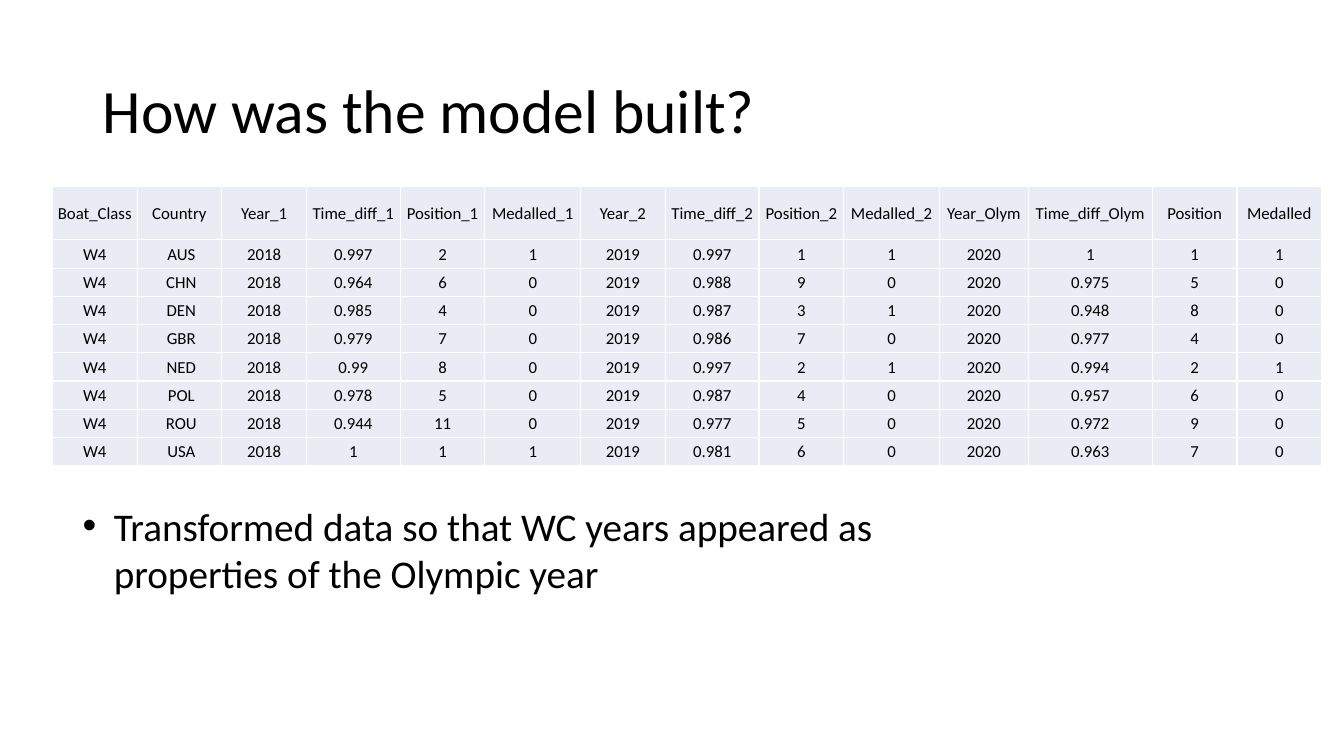
from lxml.etree import SubElement
from pptx import Presentation
from pptx.dml.color import RGBColor
from pptx.enum.text import MSO_ANCHOR as Anchor, MSO_AUTO_SIZE as AutoSize, PP_ALIGN as Align
from pptx.oxml.ns import qn
from pptx.util import Inches, Pt

BLACK = RGBColor(0x00, 0x00, 0x00)
WHITE = RGBColor(0xFF, 0xFF, 0xFF)
PALE_BLUE = RGBColor(0xE9, 0xEB, 0xF5)

SEASON = ("Year", "Time_diff", "Position", "Medalled")
HEADERS = ["Boat_Class", "Country",
           *(f"{name}_{number}" for number in (1, 2) for name in SEASON),
           "Year_Olym", "Time_diff_Olym", "Position", "Medalled"]
SEASON_WIDTHS = [0.84, 0.93, 0.84, 0.95]
WIDTHS = [0.84, 0.84, *SEASON_WIDTHS * 2, 0.88, 1.23, 0.84, 0.84]
HEIGHTS = [0.53] + [0.28] * 8
YEARS = ("2018", "2019", "2020")
RESULTS = {
    " AUS": ("0.997 2 1", "0.997 1 1", "1 1 1"),
    " CHN": ("0.964 6 0", "0.988 9 0", "0.975 5 0"),
    " DEN": ("0.985 4 0", "0.987 3 1", "0.948 8 0"),
    " GBR": ("0.979 7 0", "0.986 7 0", "0.977 4 0"),
    " NED": ("0.99 8 0", "0.997 2 1", "0.994 2 1"),
    " POL": ("0.978 5 0", "0.987 4 0", "0.957 6 0"),
    " ROU": ("0.944 11 0", "0.977 5 0", "0.972 9 0"),
    " USA": ("1 1 1", "0.981 6 0", "0.963 7 0"),
}


def write(frame, text, size, font="Calibri", color=BLACK, align=Align.LEFT, spacing=1.0):
    """Put one formatted paragraph in a text frame and return it."""
    para = frame.paragraphs[0]
    para.alignment = align
    para.line_spacing = spacing
    span = para.add_run()
    span.text = text
    span.font.name = font
    span.font.size = Pt(size)
    span.font.color.rgb = color
    return para


class SlideBuilder:
    """Hold the table style and the current slide."""

    def __init__(self, page, fill, border, cell_size):
        self.page = page
        self.fill = fill
        self.border = border
        self.cell_size = cell_size

    def text_box(self, place, text, size, anchor=Anchor.TOP, **style):
        """Add a wrapped text box and return its paragraph."""
        box = self.page.shapes.add_textbox(*map(Inches, place))
        frame = box.text_frame
        frame.word_wrap = True
        frame.auto_size = AutoSize.NONE
        frame.vertical_anchor = anchor
        return write(frame, text, size, **style)

    def bullet(self, place, text, size, indent):
        """Add a text box with one bulleted paragraph."""
        properties = self.text_box(place, text, size)._p.get_or_add_pPr()
        properties.set("marL", str(Inches(indent)))
        properties.set("indent", str(-Inches(indent)))
        SubElement(properties, qn("a:buFont"), typeface="Arial")
        SubElement(properties, qn("a:buChar"), char="•")

    def table(self, left, top, widths, heights, rows):
        """Add a plain table with one fill and thin borders."""
        size = (left, top, sum(widths), sum(heights))
        table = self.page.shapes.add_table(len(rows), len(widths), *map(Inches, size)).table
        table.first_row = False
        table.horz_banding = False
        for column, width in zip(table.columns, widths):
            column.width = Inches(width)
        for row, height, texts in zip(table.rows, heights, rows):
            row.height = Inches(height)
            for cell, text in zip(row.cells, texts):
                self.cell(cell, text)

    def cell(self, cell, text):
        """Style and fill in one table cell."""
        cell.margin_left = cell.margin_right = cell.margin_top = Inches(0.01)
        cell.margin_bottom = 0
        cell.vertical_anchor = Anchor.MIDDLE
        properties = cell._tc.get_or_add_tcPr()
        for side in ("lnL", "lnR", "lnT", "lnB"):
            line = SubElement(properties, qn(f"a:{side}"), w=str(Pt(1)))
            paint = SubElement(line, qn("a:solidFill"))
            SubElement(paint, qn("a:srgbClr"), val=str(self.border))
        cell.fill.solid()
        cell.fill.fore_color.rgb = self.fill
        write(cell.text_frame, text, self.cell_size, align=Align.CENTER)


def result_rows():
    """Return the header and one row of texts per country."""
    rows = [HEADERS]
    for country, seasons in RESULTS.items():
        row = ["W4", country]
        for year, season in zip(YEARS, seasons):
            row += [year, *season.split()]
        rows.append(row)
    return rows


def main():
    """Build the slide and save it."""
    deck = Presentation()
    deck.slide_width = Inches(13.33)
    deck.slide_height = Inches(7.5)
    page = deck.slides.add_slide(deck.slide_layouts[6])
    builder = SlideBuilder(page, fill=PALE_BLUE, border=WHITE, cell_size=12)
    builder.text_box((0.92, 0.4, 11.5, 1.45), "How was the model built?", 44,
                     anchor=Anchor.MIDDLE, spacing=0.9)
    builder.table(0.52, 1.85, WIDTHS, HEIGHTS, result_rows())
    builder.bullet((0.72, 4.93, 8.28, 1.04),
                   "Transformed data so that WC years appeared as properties of the Olympic year",
                   28, indent=0.31)
    deck.save("out.pptx")


if __name__ == "__main__":
    main()
